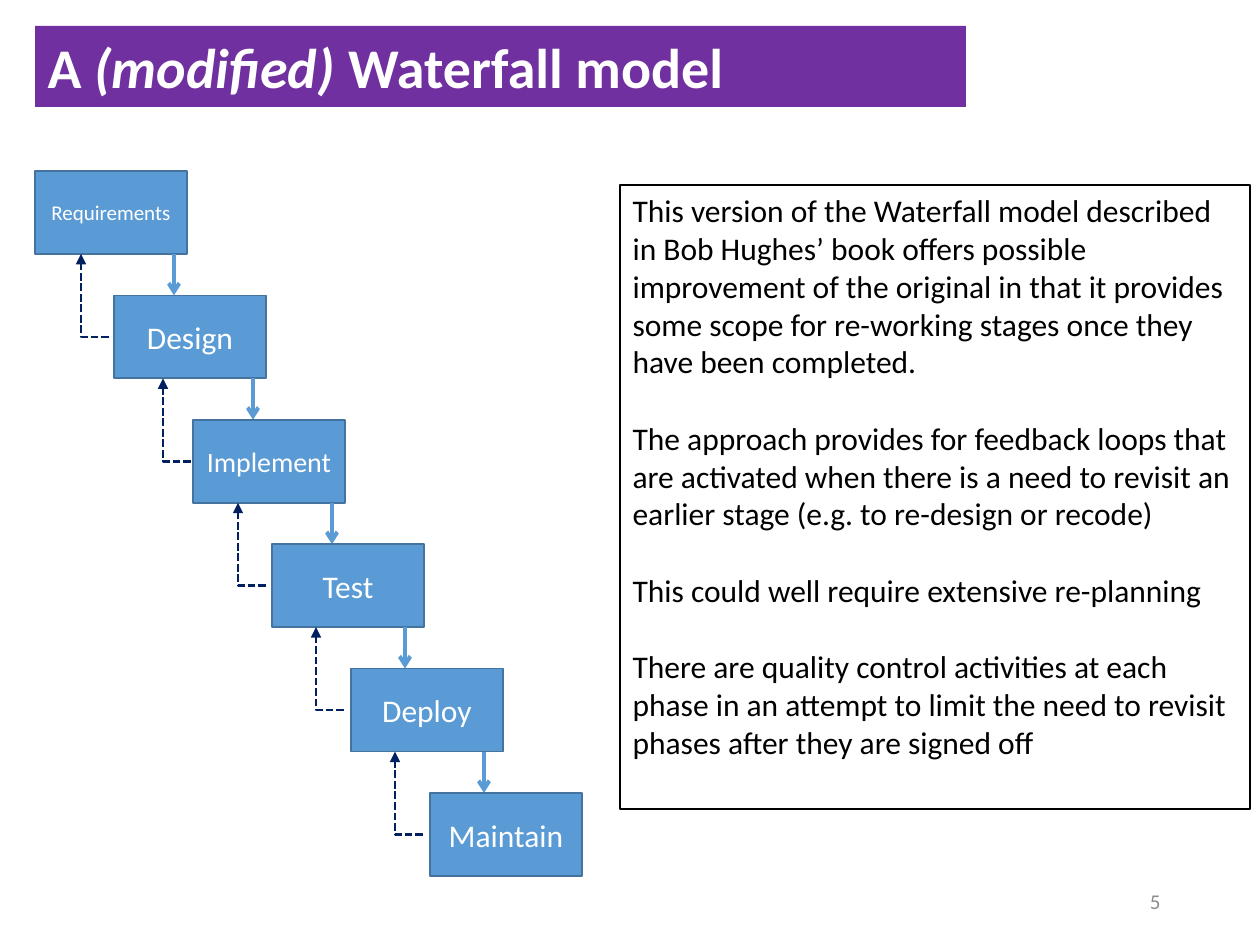
from lxml import etree
from pptx import Presentation
from pptx.dml.color import RGBColor
from pptx.enum.dml import MSO_LINE
from pptx.enum.shapes import MSO_CONNECTOR, MSO_SHAPE
from pptx.enum.text import MSO_ANCHOR, MSO_AUTO_SIZE, PP_ALIGN
from pptx.oxml.ns import qn
from pptx.util import Emu, Pt

PX = 914400 // 126
FONT = "Calibri"
WHITE = RGBColor(0xFF, 0xFF, 0xFF)
BLACK = RGBColor(0x00, 0x00, 0x00)
GREY = RGBColor(0x8C, 0x8C, 0x8C)
PURPLE = RGBColor(0x70, 0x30, 0xA0)
BLUE = RGBColor(0x5B, 0x9B, 0xD5)
BLUE_EDGE = RGBColor(0x43, 0x73, 0x9E)
NAVY = RGBColor(0x00, 0x20, 0x60)
LEFT, CENTER, RIGHT = PP_ALIGN.LEFT, PP_ALIGN.CENTER, PP_ALIGN.RIGHT
TOP, MIDDLE = MSO_ANCHOR.TOP, MSO_ANCHOR.MIDDLE
STRAIGHT, ELBOW = MSO_CONNECTOR.STRAIGHT, MSO_CONNECTOR.ELBOW

STAGE_WIDTH, STAGE_HEIGHT = 152, 83
FEEDBACK_WIDTH = 28

# Name, text size, then the x offsets of the forward and feedback arrows below
STAGES = [
    ("Requirements", 12, 139, 46),
    ("Design", 18, 139, 49),
    ("Implement", 16, 139, 45),
    ("Test", 18, 133, 44),
    ("Deploy", 18, 133, 44),
    ("Maintain", 18, None, None),
]
NOTES = [
    "This version of the Waterfall model described in Bob Hughes’ book offers "
    "possible improvement of the original in that it provides some scope for "
    "re-working stages once they have been completed.",
    "The approach provides for feedback loops that are activated when there is "
    "a need to revisit an earlier stage (e.g. to re-design or recode)",
    "This could well require extensive re-planning",
    "There are quality control activities at each phase in an attempt to limit "
    "the need to revisit phases after they are signed off",
]


def px(value):
    return Emu(round(value * PX))


def place(shape, box):
    shape.left, shape.top, shape.width, shape.height = map(px, box)


def style_frame(frame, anchor):
    frame.word_wrap = True
    frame.auto_size = MSO_AUTO_SIZE.NONE
    frame.vertical_anchor = anchor


def style_paragraph(paragraph, size, color, alignment):
    paragraph.alignment = alignment
    paragraph.font.name = FONT
    paragraph.font.size = Pt(size)
    paragraph.font.color.rgb = color


def add_title(slide, box):
    title = slide.shapes.title
    place(title, box)
    title.fill.solid()
    title.fill.fore_color.rgb = PURPLE
    style_frame(title.text_frame, TOP)
    paragraph = title.text_frame.paragraphs[0]
    for text, italic in (("A ", False), ("(modified) ", True), ("Waterfall model", False)):
        run = paragraph.add_run()
        run.text = text
        run.font.italic = italic
    style_paragraph(paragraph, 32, WHITE, LEFT)
    paragraph.font.bold = True


def add_notes(slide, box):
    body = slide.placeholders[1]
    place(body, box)
    body.line.color.rgb = BLACK
    body.line.width = Pt(0.75)
    frame = body.text_frame
    style_frame(frame, TOP)
    frame.text = "\n".join(NOTES)
    for paragraph in frame.paragraphs:
        style_paragraph(paragraph, 18, BLACK, LEFT)
        paragraph.space_before = Pt(0)
        paragraph.space_after = Pt(22)
        # No bullet and no hanging indent
        properties = paragraph._p.get_or_add_pPr()
        properties.set("marL", "0")
        properties.set("indent", "0")
        etree.SubElement(properties, qn("a:buNone"))
        properties.append(properties.find(qn("a:defRPr")))


def add_stage(group, name, size, x, y):
    stage = group.shapes.add_shape(
        MSO_SHAPE.RECTANGLE, px(x), px(y), px(STAGE_WIDTH), px(STAGE_HEIGHT))
    stage.shadow.inherit = False
    stage.fill.solid()
    stage.fill.fore_color.rgb = BLUE
    stage.line.color.rgb = BLUE_EDGE
    stage.line.width = Pt(1)
    style_frame(stage.text_frame, MIDDLE)
    stage.text_frame.text = name
    style_paragraph(stage.text_frame.paragraphs[0], size, WHITE, CENTER)


def add_arrow(group, kind, start, end, color, width, head):
    arrow = group.shapes.add_connector(kind, *map(px, start + end))
    arrow.line.color.rgb = color
    arrow.line.width = Pt(width)
    etree.SubElement(arrow.line._get_or_add_ln(), qn("a:tailEnd"), type=head)
    etree.SubElement(arrow._element.spPr, qn("a:effectLst"))
    return arrow


def add_feedback(group, x, top, bottom):
    arrow = add_arrow(group, ELBOW, (x, top), (x + FEEDBACK_WIDTH, bottom),
                      NAVY, 1.5, "triangle")
    arrow.line.dash_style = MSO_LINE.SQUARE_DOT
    # One bend, turned half round so that it runs left and then up
    properties = arrow._element.spPr
    properties.find(qn("a:prstGeom")).set("prst", "bentConnector2")
    properties.find(qn("a:xfrm")).set("rot", str(180 * 60000))


def add_waterfall(slide, box):
    left, top, width, height = box
    gaps = len(STAGES) - 1
    step_x = (width - STAGE_WIDTH) / gaps
    step_y = (height - STAGE_HEIGHT) / gaps
    group = slide.shapes.add_group_shape()
    for index, (name, size, forward, feedback) in enumerate(STAGES):
        x, y = left + index * step_x, top + index * step_y
        add_stage(group, name, size, x, y)
        if forward is None:
            continue
        bottom, next_top = y + STAGE_HEIGHT, y + step_y
        add_arrow(group, STRAIGHT, (x + forward, bottom), (x + forward, next_top),
                  BLUE, 2.25, "arrow")
        add_feedback(group, x + feedback, bottom, next_top + STAGE_HEIGHT / 2)


def add_slide_number(slide, box):
    number = slide.shapes.add_textbox(*map(px, box))
    style_frame(number.text_frame, MIDDLE)
    number.text_frame.text = "5"
    style_paragraph(number.text_frame.paragraphs[0], 12, GREY, RIGHT)


def main():
    presentation = Presentation()
    presentation.slide_width = px(1260)
    presentation.slide_height = px(945)
    slide = presentation.slides.add_slide(presentation.slide_layouts[1])
    add_title(slide, (35, 26, 931, 81))
    add_notes(slide, (620, 185, 630, 624))
    add_waterfall(slide, (35, 171, 547, 705))
    add_slide_number(slide, (890, 876, 283, 50))
    presentation.save("out.pptx")


if __name__ == "__main__":
    main()
